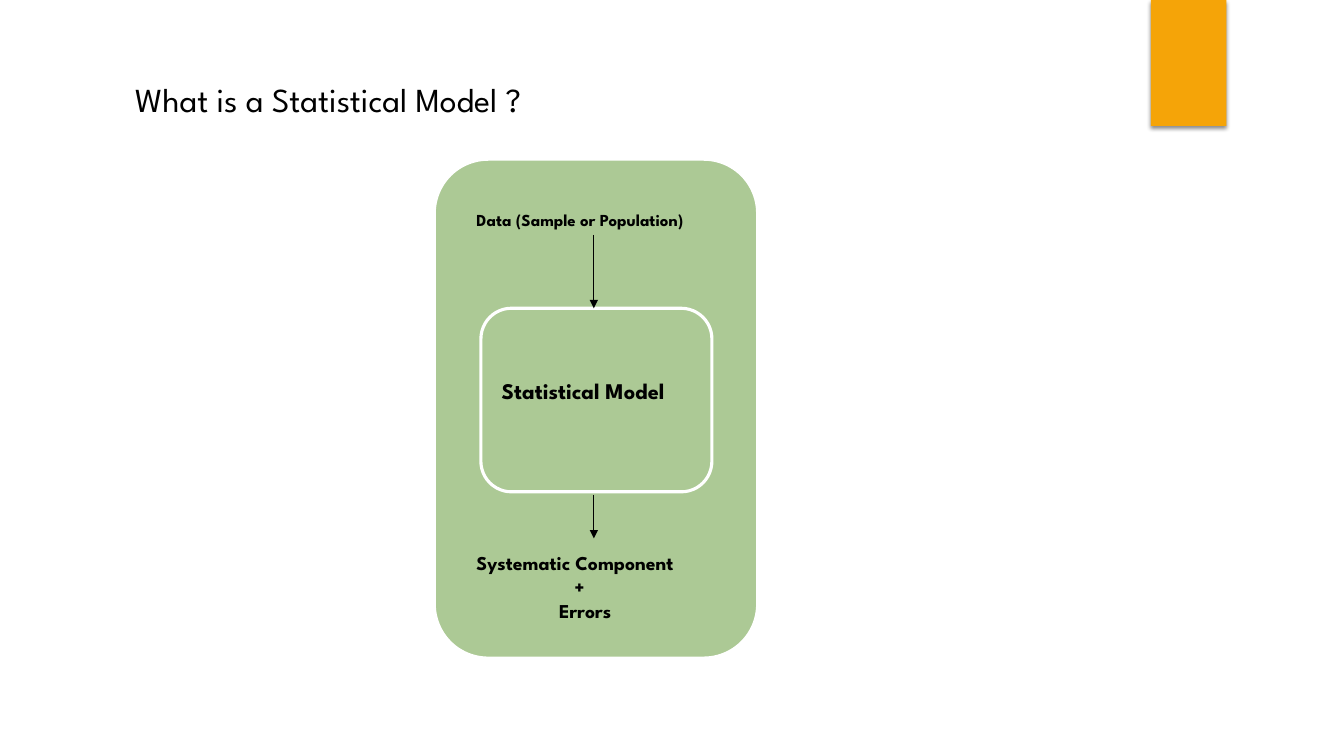
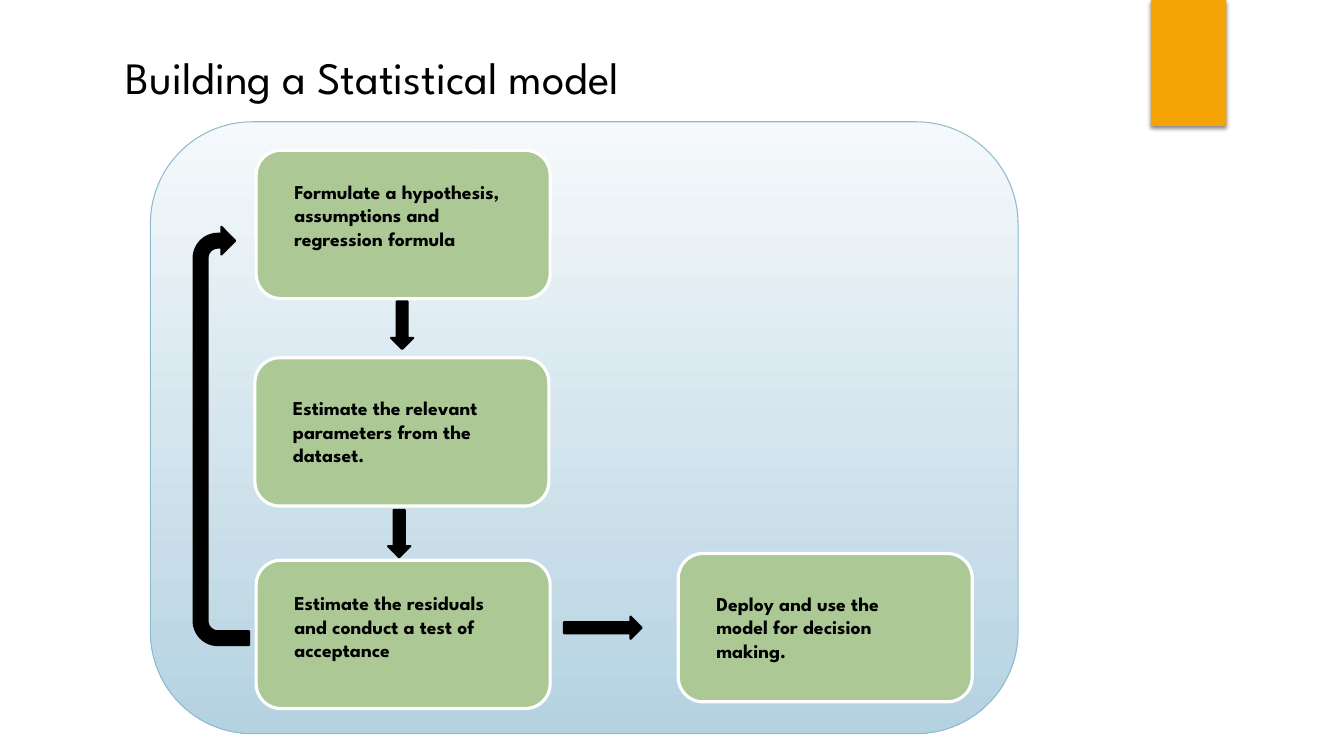
from pptx import Presentation
from pptx.dml.color import RGBColor
from pptx.enum.shapes import MSO_CONNECTOR, MSO_SHAPE
from pptx.oxml.ns import qn
from pptx.util import Emu, Pt
from lxml.etree import SubElement

COLUMNS, ROWS = 32, 18
CELL = 381000
FONT = "League Spartan"
BLACK, WHITE, GREEN, ORANGE = "000000", "FFFFFF", "ACC995", "F5A408"
PANEL_TOP, PANEL_BOTTOM, PANEL_LINE = "F5F9FB", "B5D2E1", "8EBBD2"
STEP_WIDTH, STEP_HEIGHT = 7, 3.53
STEP_INSET, STEP_TEXT_WIDTH = 0.67, 5.64


def cells(*numbers):
    """Turn grid columns or rows into slide lengths."""
    return [Emu(round(number * CELL)) for number in numbers]


def color(hex_string):
    """Return the colour named by a hex string."""
    return RGBColor.from_string(hex_string)


def add_shape(slide, kind, box, fill, line=None, line_width=2.25, rotation=0):
    """Draw a flat preset shape on the grid."""
    shape = slide.shapes.add_shape(kind, *cells(*box))
    shape.shadow.inherit = False
    shape.rotation = rotation
    shape.fill.solid()
    shape.fill.fore_color.rgb = color(fill)
    if line:
        shape.line.color.rgb = color(line)
        shape.line.width = Pt(line_width)
    else:
        shape.line.fill.background()
    return shape


def add_card(slide, box):
    """Draw a green rounded card with a white outline."""
    return add_shape(slide, MSO_SHAPE.ROUNDED_RECTANGLE, box, GREEN, WHITE)


def add_block_arrow(slide, box, kind=MSO_SHAPE.DOWN_ARROW, rotation=0):
    """Draw a solid black block arrow."""
    return add_shape(slide, kind, box, BLACK, BLACK, 1.5, rotation)


def add_text(slide, box, lines, size, bold=True):
    """Write (text, indent in columns) lines, one paragraph each."""
    frame = slide.shapes.add_textbox(*cells(*box)).text_frame
    frame.word_wrap = True
    for index, (text, indent) in enumerate(lines):
        paragraph = frame.add_paragraph() if index else frame.paragraphs[0]
        paragraph.text = text
        paragraph.font.name = FONT
        paragraph.font.size = Pt(size)
        paragraph.font.bold = bold
        paragraph.font.color.rgb = color(BLACK)
        if indent:
            paragraph._p.get_or_add_pPr().set("marL", str(cells(indent)[0]))


def add_thin_arrow(slide, column, top, bottom):
    """Draw a thin arrow pointing down a column."""
    ends = cells(column, top, column, bottom)
    connector = slide.shapes.add_connector(MSO_CONNECTOR.STRAIGHT, *ends)
    connector.line.color.rgb = color(BLACK)
    connector.line.width = Pt(0.75)
    SubElement(connector.line._get_or_add_ln(), qn("a:tailEnd"), type="triangle")
    SubElement(connector._element.spPr, qn("a:effectLst"))


def add_ribbon(slide):
    """Draw the orange ribbon with its soft shadow."""
    ribbon = add_shape(slide, MSO_SHAPE.RECTANGLE, (27.4, 0, 1.8, 3), ORANGE)
    effects = ribbon._element.spPr.find(qn("a:effectLst"))
    shadow = SubElement(effects, qn("a:outerShdw"), blurRad=str(Pt(3)),
                        dist=str(Pt(2)), dir="5400000", rotWithShape="0")
    shade = SubElement(shadow, qn("a:srgbClr"), val=BLACK)
    SubElement(shade, qn("a:alpha"), val="45000")


def add_slide(presentation, title, box, size):
    """Start a blank slide with the ribbon and a title."""
    slide = presentation.slides.add_slide(presentation.slide_layouts[6])
    add_ribbon(slide)
    add_text(slide, box, [(title, 0)], size, bold=False)
    return slide


def add_panel(slide, box):
    """Draw the large rounded panel with a vertical gradient."""
    panel = add_shape(slide, MSO_SHAPE.ROUNDED_RECTANGLE, box,
                      PANEL_TOP, PANEL_LINE, 0.75)
    panel.fill.gradient()
    panel.fill.gradient_angle = 270
    for stop, shade in zip(panel.fill.gradient_stops, (PANEL_TOP, PANEL_BOTTOM)):
        stop.color.rgb = color(shade)


def add_step(slide, left, top, text_drop, text):
    """Draw one step of the process as a card with its text."""
    add_card(slide, (left, top, STEP_WIDTH, STEP_HEIGHT))
    text_box = (left + STEP_INSET, top + text_drop, STEP_TEXT_WIDTH, 1.94)
    add_text(slide, text_box, [(text, 0)], 14)


def build_definition(presentation):
    """Build the slide that defines a statistical model."""
    slide = add_slide(presentation, "What is a Statistical Model ?",
                      (2.98, 1.75, 13.2, 1.2), 24)
    add_card(slide, (10.34, 3.79, 7.7, 11.88))
    add_card(slide, (11.45, 7.34, 5.5, 4.37))
    add_text(slide, (11.11, 4.87, 6.07, 0.72),
             [("Data (Sample or Population)", 0)], 12)
    add_text(slide, (11.71, 8.86, 4.87, 0.89), [("Statistical Model", 0)], 16)
    add_text(slide, (11.11, 13.01, 6.07, 1.94),
             [("Systematic Component", 0), ("+", 2.33), ("Errors", 1.97)], 14)
    for top, bottom in ((5.59, 7.34), (11.78, 12.82)):
        add_thin_arrow(slide, 14.14, top, bottom)


def build_process(presentation):
    """Build the slide that shows how a model is made."""
    slide = add_slide(presentation, "Building a Statistical model",
                      (2.76, 1.06, 17.14, 1.54), 32)
    add_panel(slide, (3.58, 2.9, 20.66, 14.57))
    steps = (
        (6.1, 3.58, 0.58, "Formulate a hypothesis, assumptions and regression formula"),
        (6.07, 8.52, 0.79, "Estimate the relevant parameters from the dataset."),
        (6.1, 13.34, 0.62, "Estimate the residuals and conduct a test of acceptance"),
        (16.15, 13.18, 0.79, "Deploy and use the model for decision making."),
    )
    for step in steps:
        add_step(slide, *step)
    for left, top in ((9.31, 7.18), (9.24, 12.14)):
        add_block_arrow(slide, (left, top, 0.53, 1.13))
    add_block_arrow(slide, (14.09, 14.02, 0.53, 1.85), rotation=270)
    add_block_arrow(slide, (0.29, 9.72, 9.96, 1.32), MSO_SHAPE.U_TURN_ARROW, 270)


def main():
    """Build and save the presentation."""
    presentation = Presentation()
    presentation.slide_width, presentation.slide_height = cells(COLUMNS, ROWS)
    build_definition(presentation)
    build_process(presentation)
    presentation.save("out.pptx")


if __name__ == "__main__":
    main()
